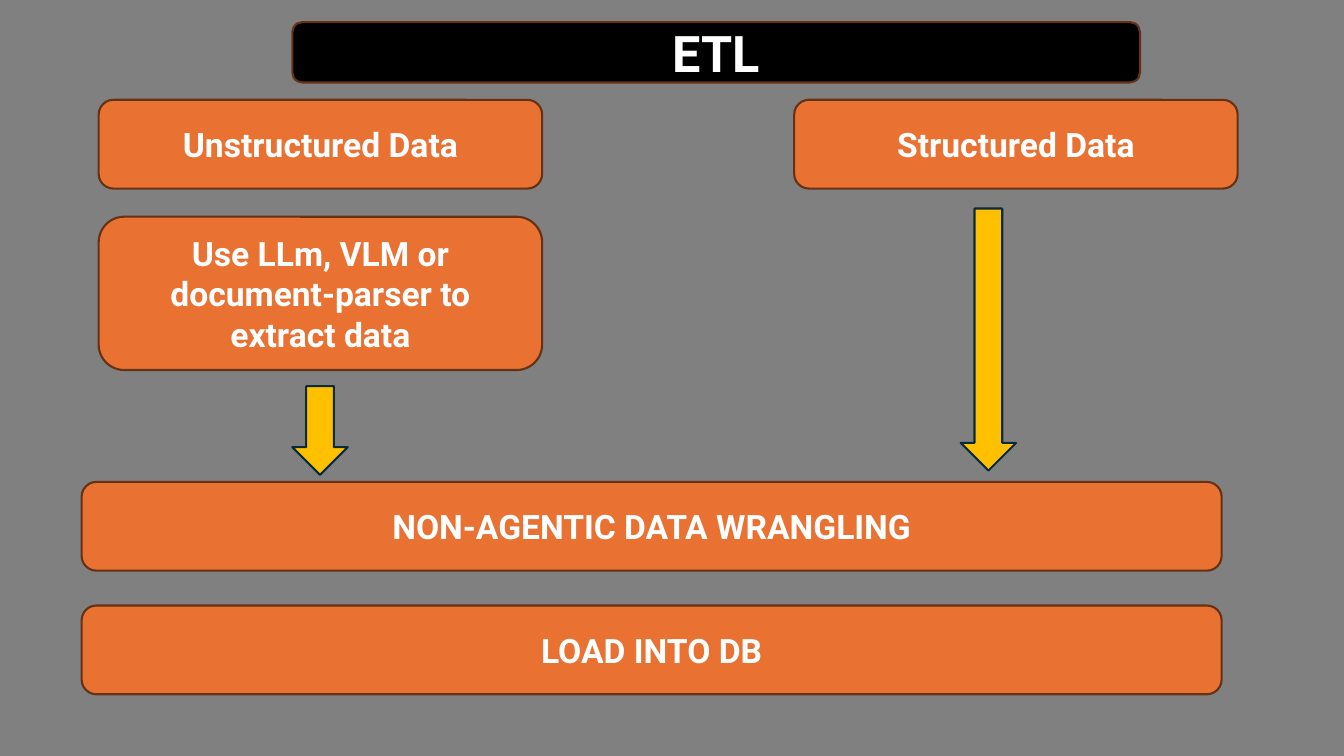
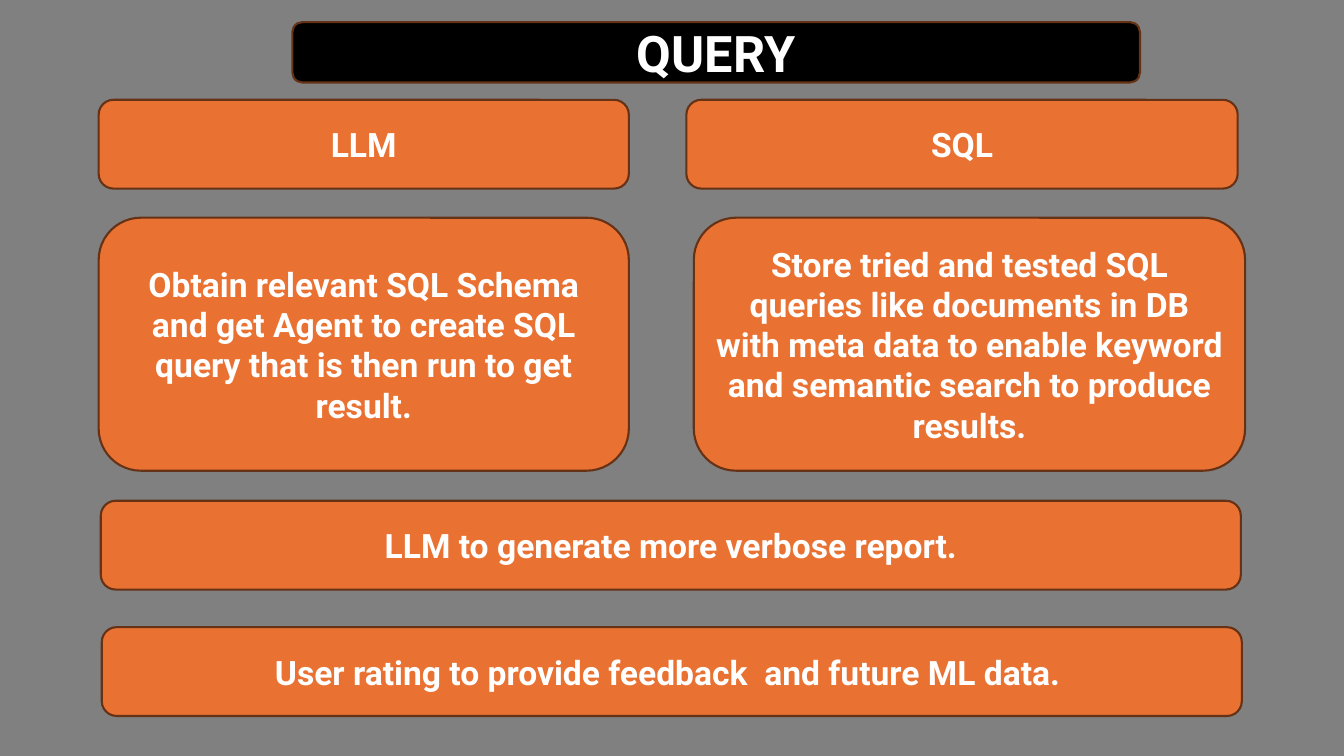
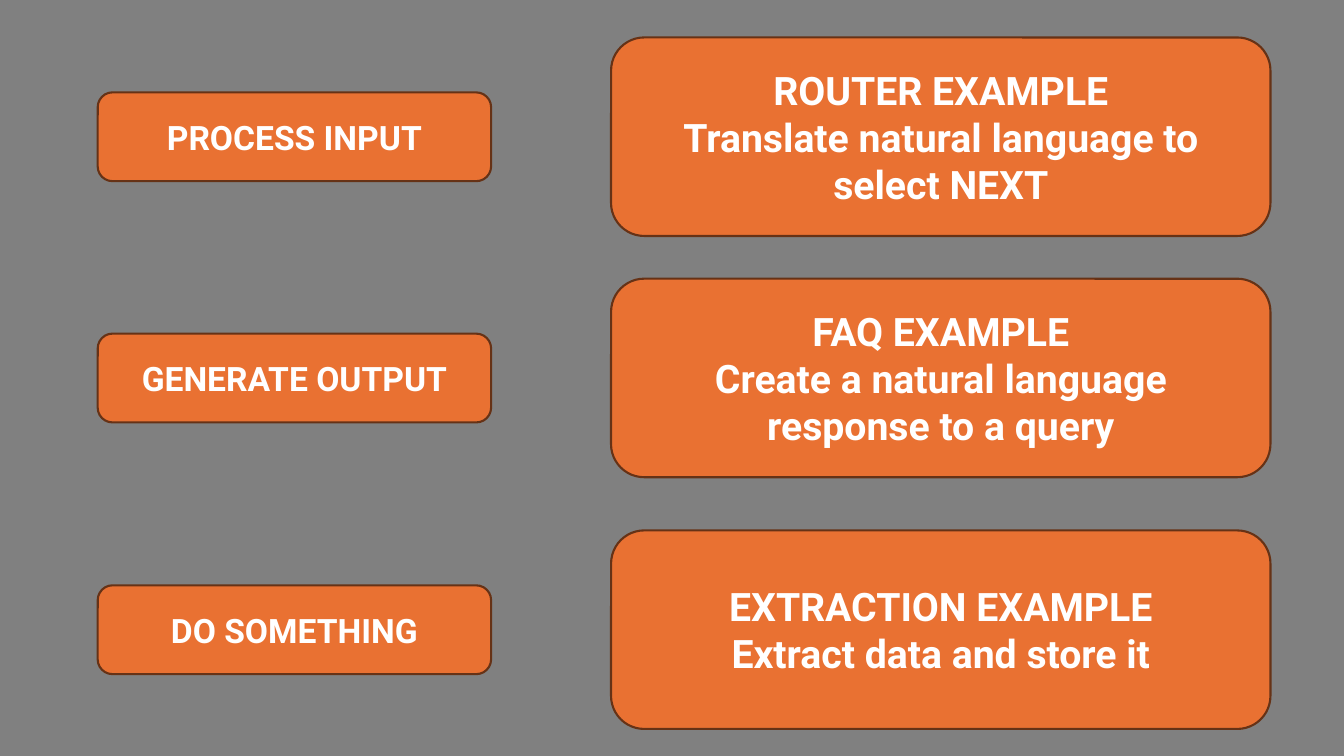
from dataclasses import dataclass

from pptx import Presentation
from pptx.dml.color import RGBColor
from pptx.enum import shapes, text
from pptx.util import Pt


@dataclass(frozen=True)
class Theme:
    """Colours, type and measures (points) shared by all slides."""
    background: str = "808080"
    box: str = "E97132"
    box_line: str = "663216"
    title: str = "000000"
    arrow: str = "FFC000"
    arrow_line: str = "092A39"
    ink: str = "FFFFFF"
    font: str = "Roboto"
    title_size: int = 36
    card_size: int = 28
    body_size: int = 24
    line_width: float = 1.5
    left: float = 70.5
    head_top: float = 71.3
    box_height: float = 63.4
    bar_width: float = 814.3


T = Theme()
SHAPE = shapes.MSO_SHAPE


def add_slide(prs):
    s = prs.slides.add_slide(prs.slide_layouts[6])
    fill = s.background.fill
    fill.solid()
    fill.fore_color.rgb = RGBColor.from_string(T.background)
    return s


def add_figure(s, kind, x, y, w, h, fill, line):
    sp = s.shapes.add_shape(kind, Pt(x), Pt(y), Pt(w), Pt(h))
    sp.shadow.inherit = False
    sp.fill.solid()
    sp.fill.fore_color.rgb = RGBColor.from_string(fill)
    sp.line.color.rgb = RGBColor.from_string(line)
    sp.line.width = Pt(T.line_width)
    return sp


def add_box(s, lines, x, y, w, h=T.box_height, size=T.body_size, fill=T.box):
    """Rounded box with centred bold text, one paragraph per line."""
    sp = add_figure(s, SHAPE.ROUNDED_RECTANGLE, x, y, w, h, fill, T.box_line)
    tf = sp.text_frame
    tf.word_wrap = True
    tf.vertical_anchor = text.MSO_ANCHOR.MIDDLE
    tf.text = lines
    for p in tf.paragraphs:
        p.alignment = text.PP_ALIGN.CENTER
        p.font.name = T.font
        p.font.size = Pt(size)
        p.font.bold = True
        p.font.color.rgb = RGBColor.from_string(T.ink)


def add_title(s, title):
    add_box(s, title, 208.8, 15.8, 605.5, 43.2, T.title_size, T.title)


def add_arrow(s, x, y, h):
    add_figure(s, SHAPE.DOWN_ARROW, x, y, 39.6, h, T.arrow, T.arrow_line)


def etl_slide(prs):
    s = add_slide(prs)
    add_title(s, "ETL")

    # Two kinds of source data
    width = 316.8
    add_box(s, "Unstructured Data", T.left, T.head_top, width)
    add_box(s, "Structured Data", 567.3, T.head_top, width)
    add_box(s, "Use LLm, VLM or document-parser to extract data",
            T.left, 154.8, width, 109.5)

    # Both flow into the shared steps
    add_arrow(s, 208.8, 275.8, 63.4)
    add_arrow(s, 686.2, 149, 187.2)
    for y, step in ((344.2, "NON-AGENTIC DATA WRANGLING"),
                    (432.5, "LOAD INTO DB")):
        add_box(s, step, 58.3, y, T.bar_width)


def query_slide(prs):
    s = add_slide(prs)
    add_title(s, "QUERY")

    # Two ways to query: heading above detail
    columns = (
        ("LLM", T.left, T.left, 378.7,
         "Obtain relevant SQL Schema and get Agent to create SQL query "
         "that is then run to get result."),
        ("SQL", 490.3, 495.6, 393.8,
         "Store tried and tested SQL queries like documents in DB with meta "
         "data to enable keyword and semantic search to produce results."),
    )
    for heading, head_x, detail_x, width, detail in columns:
        add_box(s, heading, head_x, T.head_top, width)
        add_box(s, detail, detail_x, 155.5, width, 180.7)

    # Report and feedback bars
    add_box(s, "LLM to generate more verbose report.", 72, 357.7, T.bar_width)
    add_box(s, "User rating to provide feedback  and future ML data. ",
            72.7, 448, T.bar_width)


def examples_slide(prs):
    s = add_slide(prs)
    card_height = 141.8
    rows = (
        (97.7, "PROCESS INPUT",
         "ROUTER EXAMPLE\nTranslate natural language to select NEXT"),
        (270, "GENERATE OUTPUT",
         "FAQ EXAMPLE\nCreate a natural language response to a query"),
        (449.8, "DO SOMETHING",
         "EXTRACTION EXAMPLE\nExtract data and store it"),
    )
    # Each label and its card share a centre line
    for middle, label, example in rows:
        add_box(s, label, 69.8, middle - T.box_height / 2, 281)
        add_box(s, example, 436.5, middle - card_height / 2, 471, card_height,
                T.card_size)


def main():
    prs = Presentation()
    prs.slide_width, prs.slide_height = Pt(960), Pt(540)
    etl_slide(prs)
    query_slide(prs)
    examples_slide(prs)
    prs.save("out.pptx")


if __name__ == "__main__":
    main()
